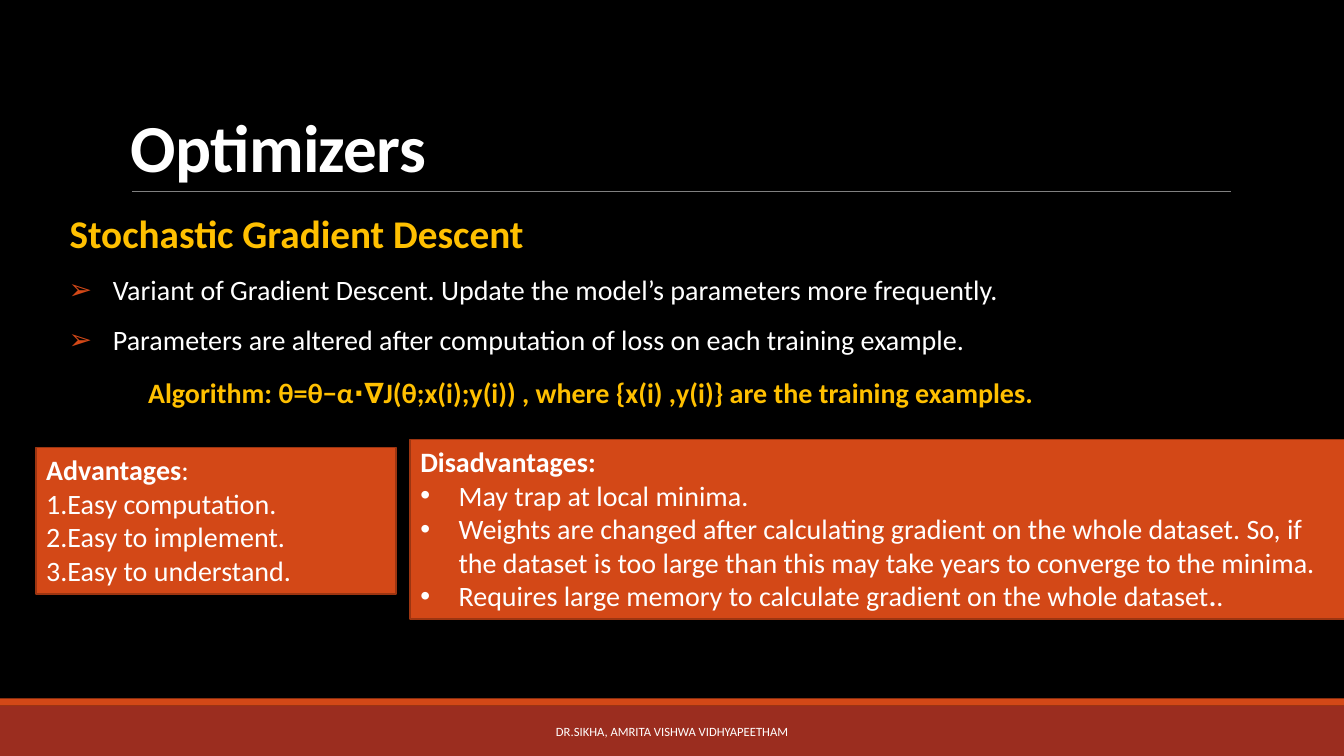
from lxml import etree
from pptx import Presentation
from pptx.dml.color import RGBColor
from pptx.enum.shapes import MSO_CONNECTOR, MSO_SHAPE
from pptx.enum.text import MSO_ANCHOR, PP_ALIGN
from pptx.oxml.ns import qn
from pptx.util import Inches, Pt

RECT = MSO_SHAPE.RECTANGLE
STRAIGHT = MSO_CONNECTOR.STRAIGHT
TOP, MIDDLE, BOTTOM = MSO_ANCHOR.TOP, MSO_ANCHOR.MIDDLE, MSO_ANCHOR.BOTTOM
LEFT, CENTER = PP_ALIGN.LEFT, PP_ALIGN.CENTER

FONT = "Calibri"
BLACK, WHITE, GOLD, GREY = "000000", "FFFFFF", "FFC000", "808080"
ORANGE, RUST, BROWN = "D34817", "9B2D1F", "9C3511"


def rgb(color):
    """Return the colour for a hex string."""
    return RGBColor.from_string(color)


def add_rect(s, box, fill, line=None):
    """Add a filled rectangle, outlined if a line colour is given."""
    sp = s.shapes.add_shape(RECT, *map(Inches, box))
    sp.shadow.inherit = False
    sp.fill.solid()
    sp.fill.fore_color.rgb = rgb(fill)
    if line:
        sp.line.color.rgb = rgb(line)
        sp.line.width = Pt(1.25)
    else:
        sp.line.fill.background()
    return sp


def add_rule(s, x1, x2, y):
    """Add a thin horizontal line."""
    cx = s.shapes.add_connector(STRAIGHT, *map(Inches, (x1, y, x2, y)))
    cx.line.color.rgb = rgb(GREY)
    cx.line.width = Pt(0.5)
    etree.SubElement(cx._element.spPr, qn("a:effectLst"))


def add_textbox(s, box, anchor=TOP, side=0.1):
    """Add a wrapping text box and return its text frame."""
    tf = s.shapes.add_textbox(*map(Inches, box)).text_frame
    tf.word_wrap = True
    tf.vertical_anchor = anchor
    tf.margin_left = tf.margin_right = Inches(side)
    return tf


def add_paragraph(tf, align=LEFT, spacing=None, before=None, after=None):
    """Return the empty first paragraph of a frame, or a new one."""
    first = tf.paragraphs[0]
    p = tf.add_paragraph() if first.runs else first
    p.alignment = align
    p.line_spacing = spacing
    p.space_before = before
    p.space_after = after
    return p


def add_run(p, text, size=20, color=WHITE, bold=False):
    """Add a formatted run to a paragraph."""
    r = p.add_run()
    r.text = text
    r.font.name = FONT
    r.font.size = Pt(size)
    r.font.bold = bold
    r.font.color.rgb = rgb(color)
    return r


def set_indent(p, margin, hanging=0):
    """Set the left margin and hanging indent of a paragraph."""
    pPr = p._p.get_or_add_pPr()
    pPr.set("marL", str(Inches(margin)))
    pPr.set("indent", str(-Inches(hanging)))
    return pPr


def add_bullet(p, char, margin, hanging, color=WHITE):
    """Give a paragraph a character bullet."""
    pPr = set_indent(p, margin, hanging)
    clr = etree.SubElement(pPr, qn("a:buClr"))
    etree.SubElement(clr, qn("a:srgbClr"), val=color)
    etree.SubElement(pPr, qn("a:buFont"), typeface="Arial")
    etree.SubElement(pPr, qn("a:buChar"), char=char)


def add_number(p):
    """Give a paragraph automatic numbering without an indent."""
    etree.SubElement(set_indent(p, 0), qn("a:buAutoNum"), type="arabicPeriod")


def add_panel(s, box):
    """Add an orange panel and return its text frame."""
    tf = add_rect(s, box, ORANGE, BROWN).text_frame
    tf.word_wrap = True
    tf.vertical_anchor = TOP
    return tf


def add_frame(s):
    """Add the footer bands, title rule, title and footer text."""
    add_rect(s, (0, 7, 13.33, 0.5), RUST)
    add_rect(s, (0, 6.93, 13.33, 0.07), ORANGE)
    add_rule(s, 1.31, 12.21, 1.9)
    p = add_paragraph(add_textbox(s, (1.2, 0.31, 11, 1.59), BOTTOM), spacing=0.85)
    title = add_run(p, "Optimizers", 48, bold=True)
    title.font._element.set("spc", "-50")
    p = add_paragraph(add_textbox(s, (4.03, 7.06, 5.27, 0.4), MIDDLE), CENTER)
    add_run(p, "DR.SIKHA, AMRITA VISHWA VIDHYAPEETHAM", 9)


def add_body(s):
    """Add the subheading, its two points and the algorithm."""
    tf = add_textbox(s, (0.5, 2.08, 12.16, 4.4), side=0)
    p = add_paragraph(tf, spacing=0.9, after=Pt(2))
    set_indent(p, 0.19)
    add_run(p, "Stochastic Gradient Descent", 28, GOLD, True)
    for text in (
        "Variant of Gradient Descent. Update the model’s parameters more frequently.",
        "Parameters are altered after computation of loss on each training example.",
    ):
        p = add_paragraph(tf, spacing=0.9, before=Pt(12), after=Pt(2))
        add_bullet(p, "➢", 0.62, 0.44, ORANGE)
        add_run(p, text)
    p = add_paragraph(add_textbox(s, (1.37, 3.68, 11.63, 1.11)))
    add_run(p, "Algorithm: θ=θ−α⋅∇J(θ;x(i);y(i)) , where {x(i) ,y(i)} "
               "are the training examples.", color=GOLD, bold=True)


def add_disadvantages(s):
    """Add the panel of bulleted disadvantages."""
    tf = add_panel(s, (4.07, 4.36, 9.27, 1.78))
    add_run(add_paragraph(tf), "Disadvantages:", bold=True)
    for text in (
        "May trap at local minima.",
        "Weights are changed after calculating gradient on the whole dataset. "
        "So, if the dataset is too large than this may take years to converge "
        "to the minima.",
        "Requires large memory to calculate gradient on the whole dataset",
    ):
        p = add_paragraph(tf)
        add_bullet(p, "•", 0.38, 0.38)
        add_run(p, text)
    add_run(p, ".", bold=True)
    add_run(p, ".")


def add_advantages(s):
    """Add the panel of numbered advantages."""
    tf = add_panel(s, (0.36, 4.44, 3.57, 1.45))
    p = add_paragraph(tf)
    add_run(p, "Advantages", bold=True)
    add_run(p, ":")
    for text in ("Easy computation.", "Easy to implement.", "Easy to understand."):
        p = add_paragraph(tf)
        add_number(p)
        add_run(p, text)


def main():
    """Build the slide and save it."""
    prs = Presentation()
    prs.slide_width, prs.slide_height = Inches(13.33), Inches(7.5)
    s = prs.slides.add_slide(prs.slide_layouts[6])
    s.background.fill.solid()
    s.background.fill.fore_color.rgb = rgb(BLACK)
    add_frame(s)
    add_body(s)
    add_disadvantages(s)
    add_advantages(s)
    prs.save("out.pptx")


if __name__ == "__main__":
    main()
